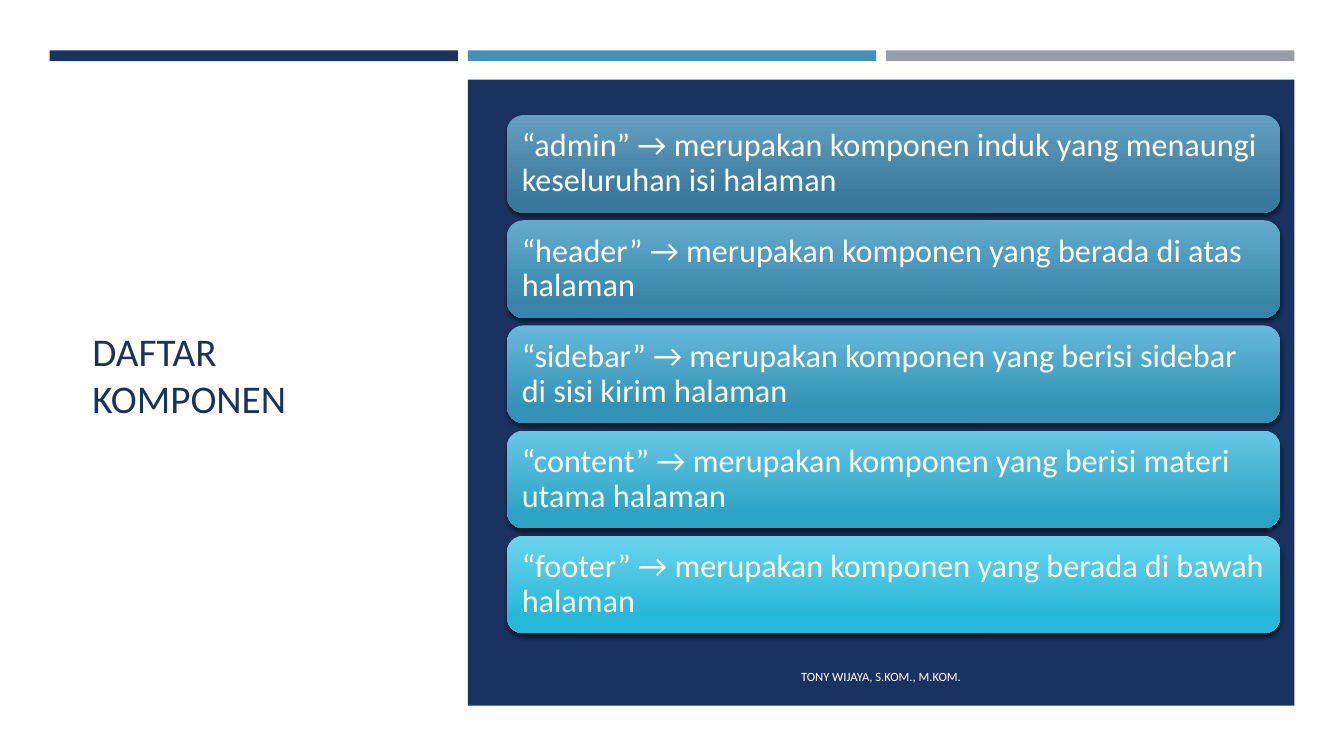
from lxml import etree
from pptx import Presentation
from pptx.dml.color import RGBColor
from pptx.enum.shapes import MSO_SHAPE
from pptx.enum.text import MSO_ANCHOR, MSO_AUTO_SIZE, PP_ALIGN
from pptx.oxml.ns import qn
from pptx.util import Cm, Pt

NAVY = RGBColor(0x1A, 0x32, 0x60)
BLUE = RGBColor(0x45, 0x90, 0xB8)
GREY = RGBColor(0x96, 0x9F, 0xA7)
WHITE = RGBColor(0xFF, 0xFF, 0xFF)
BLACK = RGBColor(0, 0, 0)

COMPONENTS = [
    ("“admin” → merupakan komponen induk yang menaungi keseluruhan isi halaman",
     RGBColor(0x63, 0x9F, 0xC1), RGBColor(0x3A, 0x79, 0x9B)),
    ("“header” → merupakan komponen yang berada di atas halaman",
     RGBColor(0x63, 0xAC, 0xCE), RGBColor(0x38, 0x85, 0xA7)),
    ("“sidebar” → merupakan komponen yang berisi sidebar di sisi kirim halaman",
     RGBColor(0x65, 0xB9, 0xD9), RGBColor(0x33, 0x93, 0xB6)),
    ("“content” → merupakan komponen yang berisi materi utama halaman",
     RGBColor(0x67, 0xC7, 0xE3), RGBColor(0x2D, 0xA4, 0xC6)),
    ("“footer” → merupakan komponen yang berada di bawah halaman",
     RGBColor(0x6B, 0xD4, 0xEC), RGBColor(0x26, 0xB8, 0xD7)),
]


def write(frame, text, size, color=WHITE, align=PP_ALIGN.LEFT, spacing=1.0, inset=0.25):
    frame.word_wrap = True
    frame.auto_size = MSO_AUTO_SIZE.NONE
    frame.vertical_anchor = MSO_ANCHOR.MIDDLE
    frame.margin_left = frame.margin_right = Cm(0.25)
    frame.margin_top = frame.margin_bottom = Cm(inset)
    paragraph = frame.paragraphs[0]
    paragraph.alignment = align
    paragraph.line_spacing = spacing
    run = paragraph.add_run()
    run.text = text
    run.font.name = "Calibri"
    run.font.size = Pt(size)
    run.font.color.rgb = color


class ComponentSlide:
    def __init__(self, presentation):
        self.slide = presentation.slides.add_slide(presentation.slide_layouts[5])
        background = self.slide.background.fill
        background.solid()
        background.fore_color.rgb = WHITE

    def title(self, text, left, top, width, height):
        heading = self.slide.shapes.title
        heading.left, heading.top = Cm(left), Cm(top)
        heading.width, heading.height = Cm(width), Cm(height)
        write(heading.text_frame, text, 28, color=NAVY, inset=0.13)

    def shape(self, kind, left, top, width, height):
        shape = self.slide.shapes.add_shape(kind, Cm(left), Cm(top), Cm(width), Cm(height))
        shape.shadow.inherit = False
        shape.line.fill.background()
        return shape

    def block(self, color, *box):
        block = self.shape(MSO_SHAPE.RECTANGLE, *box)
        block.fill.solid()
        block.fill.fore_color.rgb = color

    def card(self, text, upper, lower, *box):
        card = self.shape(MSO_SHAPE.ROUNDED_RECTANGLE, *box)
        card.fill.gradient()
        card.fill.gradient_angle = 270
        for stop, color, position in zip(card.fill.gradient_stops, (upper, lower), (0, 0.84)):
            stop.color.rgb = color
            stop.position = position
        self.drop_shadow(card)
        write(card.text_frame, text, 23, spacing=0.9)

    def drop_shadow(self, card):
        effects = card._element.spPr.find(qn("a:effectLst"))
        shadow = etree.SubElement(effects, qn("a:outerShdw"), blurRad=str(Pt(3)),
                                  dist=str(Pt(2)), dir="5400000", rotWithShape="0")
        color = etree.SubElement(shadow, qn("a:srgbClr"), val=str(BLACK))
        etree.SubElement(color, qn("a:alpha"), val="55000")

    def caption(self, text, left, top, width, height):
        caption = self.slide.shapes.add_textbox(Cm(left), Cm(top), Cm(width), Cm(height))
        write(caption.text_frame, text, 9, align=PP_ALIGN.CENTER, inset=0.13)


def main():
    presentation = Presentation()
    presentation.slide_width, presentation.slide_height = Cm(33.87), Cm(19.05)
    page = ComponentSlide(presentation)
    page.title("DAFTAR KOMPONEN", 2.08, 2.9, 8.48, 13.08)
    for column, color in enumerate((NAVY, BLUE, GREY)):
        page.block(color, 1.25 + column * 10.54, 1.27, 10.29, 0.27)
    page.block(NAVY, 11.79, 2.01, 20.83, 15.77)
    page.caption("TONY WIJAYA, S.KOM., M.KOM.", 12.55, 16.54, 19.3, 1.02)
    for row, (text, upper, lower) in enumerate(COMPONENTS):
        page.card(text, upper, lower, 12.78, 2.9 + row * 2.65, 19.48, 2.46)
    presentation.save("out.pptx")


if __name__ == "__main__":
    main()
